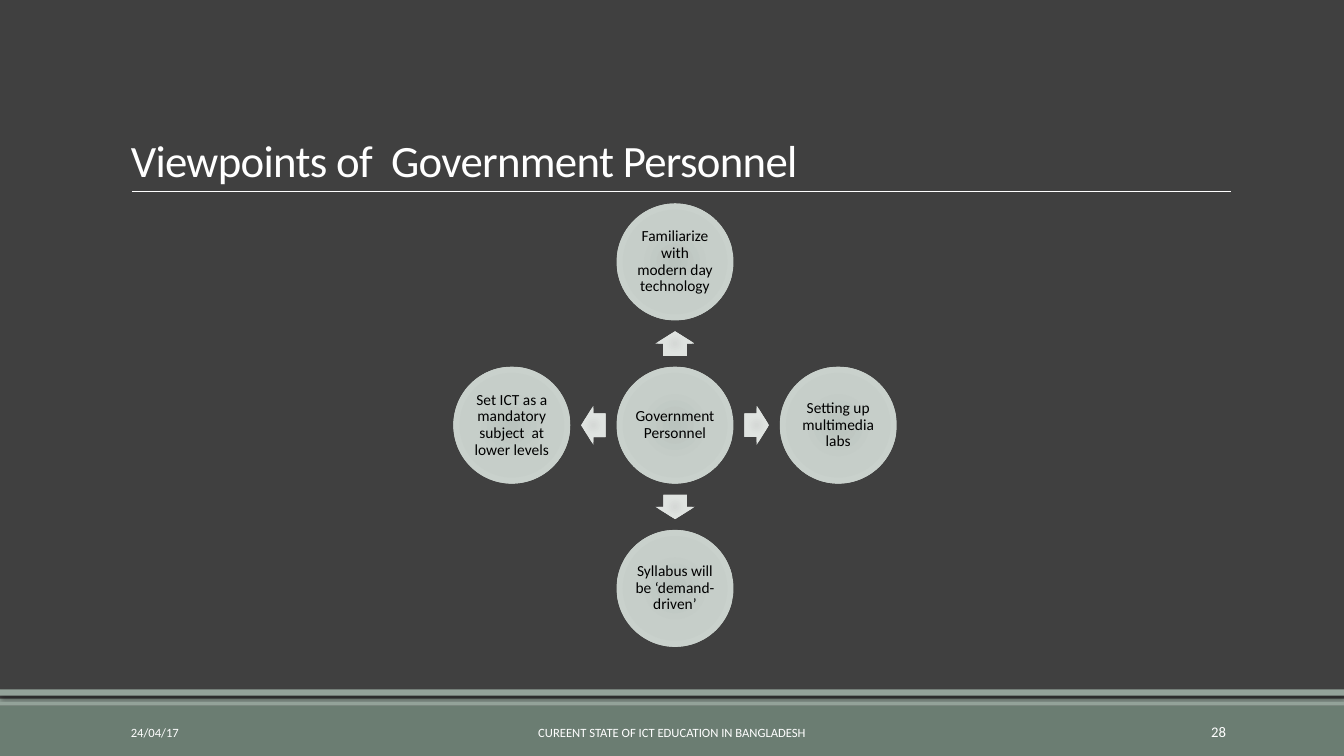
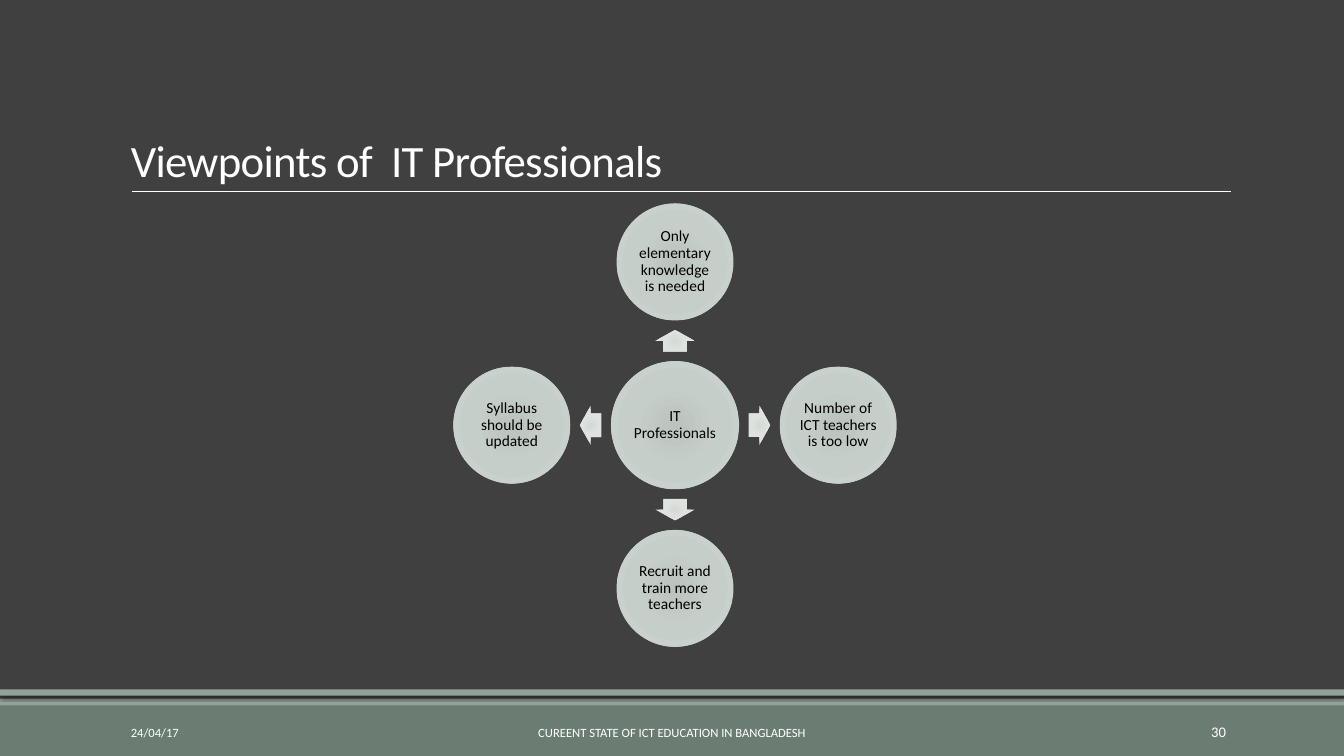
from dataclasses import dataclass
from typing import NamedTuple

from lxml.etree import SubElement
from pptx import Presentation
from pptx.dml.color import RGBColor
from pptx.enum.shapes import MSO_CONNECTOR as Connector, MSO_SHAPE as Preset
from pptx.enum.text import MSO_ANCHOR as Anchor, PP_ALIGN as Align
from pptx.oxml import parse_xml
from pptx.oxml.ns import nsdecls, qn
from pptx.util import Pt


@dataclass(frozen=True)
class Theme:
    font: str = "Calibri"
    background: str = "404040"
    band: str = "6B7D72"
    strip: str = "93A299"
    light: str = "FFFFFF"
    dark: str = "000000"
    circle: tuple[str, str, str] = ("BAC3BE", "C6CEC9", "CCD4CF")
    arrow: tuple[str, str, str] = ("D5D9D6", "DFE3E0", "E2E6E4")
    title_size: float = 32
    circle_size: float = 11
    footer_size: float = 9
    number_size: float = 10.5


class Box(NamedTuple):
    left: float
    top: float
    width: float
    height: float

    def points(self) -> tuple[Pt, ...]:
        return tuple(Pt(value) for value in self)


class Direction(NamedTuple):
    x: int
    y: int
    rotation: int


class Viewpoints(NamedTuple):
    title: str
    number: str
    hub: str
    hub_diameter: float
    views: tuple[str, str, str, str]


THEME = Theme()
PAGE_WIDTH, PAGE_HEIGHT = 960, 540
RULE_LEFT, RULE_RIGHT, RULE_TOP = 94.3, 879.1, 136.7
TITLE_BOX = Box(86.4, 22.3, 792, 114.5)
FOOTER_TOP, FOOTER_HEIGHT = 508.5, 28.8
DATE = "24/04/17"
FOOTER = "CUREENT STATE OF ICT EDUCATION IN BANGLADESH"

CENTER_X, CENTER_Y = 482.2, 303.7
SPOKE = 116.6
VIEW_DIAMETER = 83.5
ARROW_SHARE = 0.53
ARROW_HEIGHT = 28.1
CIRCLE_INSET = 1.1
# Up, right, down, left: the order of each slide's views
DIRECTIONS = (Direction(0, -1, 270), Direction(1, 0, 0),
              Direction(0, 1, 90), Direction(-1, 0, 180))

SLIDES = (
    Viewpoints("Viewpoints of  Government Personnel", "28",
               "Government Personnel", 83.5,
               ("Familiarize with modern day technology",
                "Setting up multimedia labs",
                "Syllabus will be ‘demand-driven’",
                "Set ICT as a mandatory subject  at lower levels")),
    Viewpoints("Viewpoints of  IT Professionals", "30",
               "IT Professionals", 91.5,
               ("Only elementary knowledge is needed",
                "Number of ICT teachers is too low",
                "Recruit and train more teachers",
                "Syllabus should be updated")),
)


def centered(x: float, y: float, width: float, height: float) -> Box:
    return Box(x - width / 2, y - height / 2, width, height)


def write(shape, text: str, size: float, color: str, align=Align.LEFT,
          anchor=Anchor.MIDDLE, line_spacing: float = 1.0):
    """Fill a shape with one styled paragraph and return its run."""
    frame = shape.text_frame
    frame.text = text
    frame.word_wrap = True
    frame.vertical_anchor = anchor
    para = frame.paragraphs[0]
    para.alignment = align
    para.line_spacing = line_spacing
    span = para.runs[0]
    span.font.name = THEME.font
    span.font.size = Pt(size)
    span.font.color.rgb = RGBColor.from_string(color)
    return span


def add_plain(page, preset, box: Box):
    """Add a preset shape without outline or shadow."""
    shape = page.shapes.add_shape(preset, *box.points())
    shape.shadow.inherit = False
    shape.line.fill.background()
    return shape


def add_band(page, top: float, height: float, color: str):
    band = add_plain(page, Preset.RECTANGLE, Box(0, top, PAGE_WIDTH, height))
    band.fill.solid()
    band.fill.fore_color.rgb = RGBColor.from_string(color)
    return band


def add_drop_shadow(shape) -> None:
    effects = shape._element.spPr.find(qn("a:effectLst"))
    effects.append(parse_xml(
        f'<a:outerShdw {nsdecls("a")} blurRad="{Pt(2)}" dist="{Pt(2)}" '
        f'dir="5400000" algn="t" rotWithShape="0"><a:srgbClr val="{THEME.dark}">'
        '<a:alpha val="40000"/></a:srgbClr></a:outerShdw>'))


def fill_radial(shape, colors: tuple[str, str, str]) -> None:
    stops = "".join(
        f'<a:gs pos="{position}"><a:srgbClr val="{color}"/></a:gs>'
        for position, color in zip((0, 45000, 100000), colors))
    gradient = parse_xml(
        f'<a:gradFill {nsdecls("a")} rotWithShape="1"><a:gsLst>{stops}</a:gsLst>'
        '<a:path path="circle"><a:fillToRect l="100000" t="100000" '
        'r="100000" b="100000"/></a:path></a:gradFill>')
    shape._element.spPr.find(qn("a:prstGeom")).addnext(gradient)


def add_text(page, box: Box, text: str, size: float, **style):
    return write(page.shapes.add_textbox(*box.points()), text, size,
                 THEME.light, **style)


def add_frame(page, title: str, number: str) -> None:
    """Draw the bands, title, rule and footer shared by all slides."""
    add_band(page, 504, 36, THEME.band)
    add_band(page, 499, 5, THEME.strip)
    add_drop_shadow(add_band(page, 492.4, 4.6, THEME.strip))

    rule = page.shapes.add_connector(
        Connector.STRAIGHT, Pt(RULE_LEFT), Pt(RULE_TOP), Pt(RULE_RIGHT), Pt(RULE_TOP))
    rule.line.width = Pt(0.5)
    rule.line.color.rgb = RGBColor.from_string(THEME.light)
    SubElement(rule._element.spPr, qn("a:effectLst"))

    span = add_text(page, TITLE_BOX, title, THEME.title_size,
                    anchor=Anchor.BOTTOM, line_spacing=0.85)
    span.font._element.set("spc", "-50")

    for left, width, text, size, align in (
            (86.4, 194.4, DATE, THEME.footer_size, Align.LEFT),
            (290.2, 379.4, FOOTER, THEME.footer_size, Align.CENTER),
            (779.8, 103, number, THEME.number_size, Align.RIGHT)):
        add_text(page, Box(left, FOOTER_TOP, width, FOOTER_HEIGHT), text, size,
                 align=align)


def add_circle(page, x: float, y: float, diameter: float, text: str) -> None:
    circle = add_plain(page, Preset.OVAL, centered(x, y, diameter, diameter))
    fill_radial(circle, THEME.circle)
    frame = circle.text_frame
    frame.margin_left = frame.margin_right = Pt(CIRCLE_INSET)
    frame.margin_top = frame.margin_bottom = Pt(CIRCLE_INSET)
    write(circle, text, THEME.circle_size, THEME.dark, Align.CENTER,
          line_spacing=0.9)


def add_arrow(page, direction: Direction, hub_diameter: float) -> None:
    """Place an arrow in the middle of the gap between hub and view."""
    gap_start = hub_diameter / 2
    gap_end = SPOKE - VIEW_DIAMETER / 2
    distance = (gap_start + gap_end) / 2
    arrow = add_plain(page, Preset.RIGHT_ARROW, centered(
        CENTER_X + direction.x * distance, CENTER_Y + direction.y * distance,
        (gap_end - gap_start) * ARROW_SHARE, ARROW_HEIGHT))
    arrow.adjustments[0] = 0.6
    arrow.adjustments[1] = 0.5
    arrow.rotation = direction.rotation
    fill_radial(arrow, THEME.arrow)


def add_hub_diagram(page, content: Viewpoints) -> None:
    add_circle(page, CENTER_X, CENTER_Y, content.hub_diameter, content.hub)
    for direction, view in zip(DIRECTIONS, content.views):
        add_arrow(page, direction, content.hub_diameter)
        add_circle(page, CENTER_X + direction.x * SPOKE,
                   CENTER_Y + direction.y * SPOKE, VIEW_DIAMETER, view)


def main() -> None:
    deck = Presentation()
    deck.slide_width, deck.slide_height = Pt(PAGE_WIDTH), Pt(PAGE_HEIGHT)
    backdrop = deck.slide_master.background.fill
    backdrop.solid()
    backdrop.fore_color.rgb = RGBColor.from_string(THEME.background)
    for content in SLIDES:
        page = deck.slides.add_slide(deck.slide_layouts[6])
        add_frame(page, content.title, content.number)
        add_hub_diagram(page, content)
    deck.save("out.pptx")


if __name__ == "__main__":
    main()
